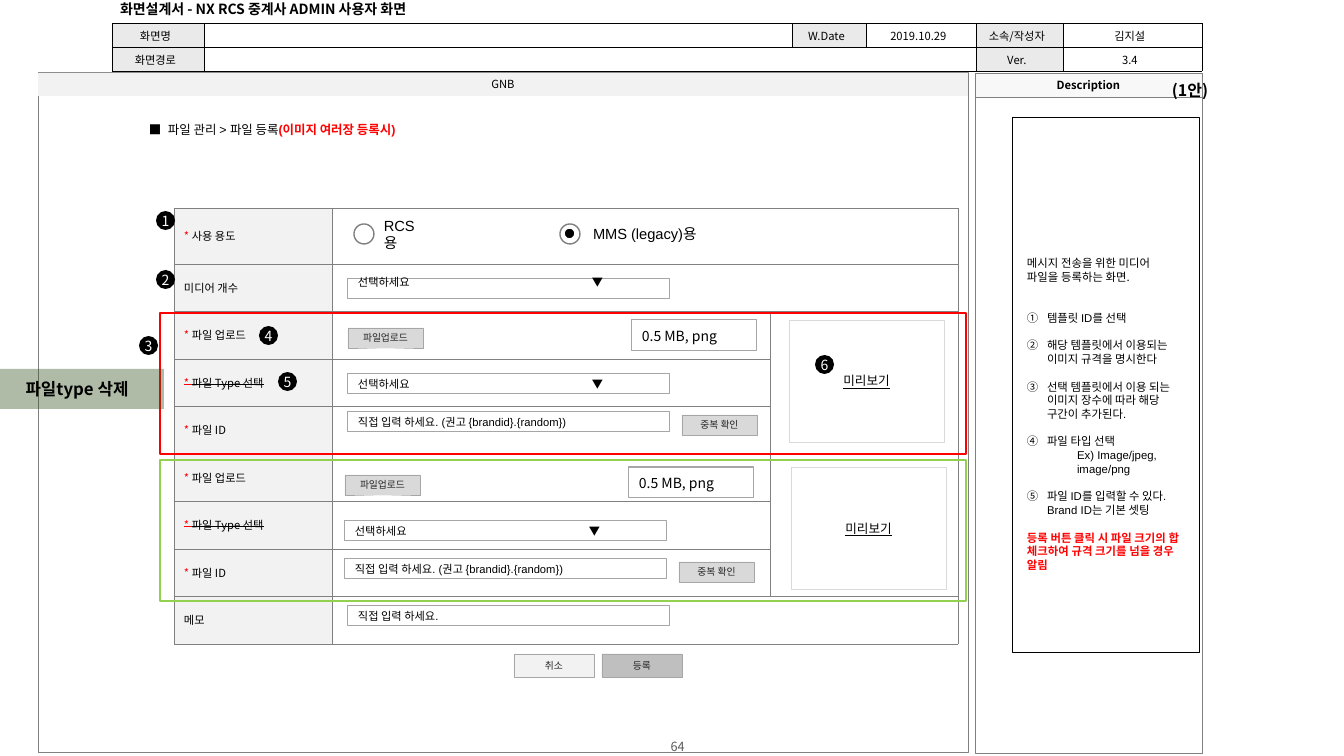
from lxml.etree import SubElement
from pptx import Presentation
from pptx.dml.color import RGBColor
from pptx.enum.shapes import MSO_SHAPE
from pptx.enum.text import MSO_ANCHOR, PP_ALIGN
from pptx.oxml.ns import qn
from pptx.util import Pt

# Content
PAGE_NUMBER = "64"
TITLE = "화면설계서 - NX RCS 중계사 ADMIN 사용자 화면"
HEADER_ROWS = [["화면명", "", "W.Date", "2019.10.29", "소속/작성자", "김지설"],
               ["화면경로", "", "", "", "Ver.", "3.4"]]
BLOCK_LABELS = ["* 파일 업로드", "* 파일 Type 선택", "* 파일 ID"]
FORM_LABELS = ["* 사용 용도", "미디어 개수", *BLOCK_LABELS, *BLOCK_LABELS, "메모"]
SELECT = "선택하세요\t▼"
INPUT = "직접 입력 하세요."
INPUT_ID = "직접 입력 하세요. (권고 {brandid}.{random})"
# text, kind (plain, number, inner, warning), lines of gap before
DESCRIPTION = [
    ("메시지 전송을 위한 미디어 파일을 등록하는 화면.", "plain", 0),
    ("템플릿 ID를 선택", "number", 2),
    ("해당 템플릿에서 이용되는 이미지 규격을 명시한다", "number", 1),
    ("선택 템플릿에서 이용 되는 이미지 장수에 따라 해당 구간이 추가된다.", "number", 1),
    ("파일 타입 선택", "number", 1),
    ("Ex) Image/jpeg, image/png", "inner", 0),
    ("파일 ID를 입력할 수 있다. Brand ID는 기본 셋팅", "number", 1),
    ("등록 버튼 클릭 시 파일 크기의 합 체크하여 규격 크기를 넘을 경우 알림", "warning", 1),
]
BADGES = [(156, 211), (156, 270), (139, 336), (259, 326), (278, 372), (815, 355)]
# frame colour, frame top, field shift (x, y), preview shift (x, y)
BLOCKS = [("red", 313, (0, 0), (0, 0)), ("green", 460, (-3, 147), (2, 147))]

# Theme and scale
THEME = {
    "black": "000000", "white": "FFFFFF", "red": "FF0000", "green": "92D050",
    "grey": "808080", "edge": "A6A6A6", "pale": "D9D9D9", "head": "EAEAEA",
    "label": "F2F2F2", "soft": "F8F8F8", "submit": "BFBFBF", "button": "262626",
    "page": "595959", "olive": "385723",
    "sans": "Arial", "korean": "Noto Sans CJK KR",
    "tiny": 7, "small": 8, "note": 8.1, "path": 8.9, "normal": 9,
    "medium": 10, "radio": 10.5, "version": 11.4, "large": 12, "note_pitch": 9.8,
}
EMU_PER_PX = 914400 / 100.8


def px(length):
    return round(length * EMU_PER_PX)


def colour(name):
    return RGBColor.from_string(THEME[name])


def write(paragraph, runs, font="korean", size="small", ink="black", bold=False,
          underline=False, strike=False, align=PP_ALIGN.LEFT, tab=None):
    """Runs is a string, or a list of (string, colour, bold)."""
    paragraph.alignment = align
    if tab:
        tabs = SubElement(paragraph._p.get_or_add_pPr(), qn("a:tabLst"))
        SubElement(tabs, qn("a:tab"), pos=str(px(tab)), algn="l")
    for text, run_ink, run_bold in [(runs, ink, bold)] if isinstance(runs, str) else runs:
        run = paragraph.add_run()
        run.text = text
        run.font.size = Pt(THEME[size])
        run.font.bold = run_bold
        run.font.color.rgb = colour(run_ink)
        run.font.name = THEME[font]
        if underline:
            run.font.underline = True
        properties = run._r.get_or_add_rPr()
        if strike:
            properties.set("strike", "sngStrike")
        SubElement(properties, qn("a:ea"), typeface=THEME["korean"])


def set_frame(frame, insets, anchor=MSO_ANCHOR.MIDDLE):
    frame.word_wrap = True
    frame.vertical_anchor = anchor
    (frame.margin_left, frame.margin_top,
     frame.margin_right, frame.margin_bottom) = map(px, insets)


def add_box(box, runs="", fill=None, line=None, width=0.25, kind=MSO_SHAPE.RECTANGLE,
            insets=(10, 0, 10, 0), **text_format):
    shape = slide.shapes.add_shape(kind, *map(px, box))
    shape.shadow.inherit = False
    if fill:
        shape.fill.solid()
        shape.fill.fore_color.rgb = colour(fill)
    else:
        shape.fill.background()
    if line:
        shape.line.color.rgb = colour(line)
        shape.line.width = Pt(width)
    else:
        shape.line.fill.background()
    if runs:
        set_frame(shape.text_frame, insets)
        write(shape.text_frame.paragraphs[0], runs, **text_format)
    return shape


def add_label(box, runs="", anchor=MSO_ANCHOR.TOP, insets=(10, 5, 10, 5), **text_format):
    frame = slide.shapes.add_textbox(*map(px, box)).text_frame
    set_frame(frame, insets, anchor)
    if runs:
        write(frame.paragraphs[0], runs, **text_format)
    return frame


def add_button(box, text, fill="pale"):
    add_box(box, text, fill=fill, line="edge", width=0.1, insets=(4, 0, 4, 0),
            font="sans", size="tiny", ink="button", align=PP_ALIGN.CENTER)


def add_field(x, y, text, **options):
    add_box((x, y, 322, 20), text, fill="white", line="edge", width=0.75,
            font="sans", tab=234, **options)


def add_grid(left, top, columns, rows):
    table = slide.shapes.add_table(len(rows), len(columns), px(left), px(top),
                                   px(sum(columns)), px(sum(rows))).table
    table.first_row = table.horz_banding = False
    for column, width in zip(table.columns, columns):
        column.width = px(width)
    for row, height in zip(table.rows, rows):
        row.height = px(height)
    return table


def format_cell(cell, runs, fill, border, insets, border_width=0.25, **text_format):
    cell.vertical_anchor = MSO_ANCHOR.MIDDLE
    (cell.margin_left, cell.margin_top,
     cell.margin_right, cell.margin_bottom) = map(px, insets)
    properties = cell._tc.get_or_add_tcPr()
    for side in ("lnL", "lnR", "lnT", "lnB"):
        edge = SubElement(properties, qn(f"a:{side}"), w=str(Pt(border_width)))
        SubElement(SubElement(edge, qn("a:solidFill")), qn("a:srgbClr"), val=THEME[border])
    if fill:
        cell.fill.solid()
        cell.fill.fore_color.rgb = colour(fill)
    else:
        cell.fill.background()
    paragraph = cell.text_frame.paragraphs[0]
    if runs:
        write(paragraph, runs, **text_format)
    else:
        SubElement(paragraph._p, qn("a:endParaRPr"), sz=str(THEME["small"] * 100))


presentation = Presentation()
presentation.slide_width, presentation.slide_height = px(1344), px(756)
slide = presentation.slides.add_slide(presentation.slide_layouts[6])

# Page frame and header table
add_label((521, 740, 313, 13), PAGE_NUMBER, MSO_ANCHOR.MIDDLE, (0, 0, 0, 0),
          size="normal", ink="page", align=PP_ALIGN.CENTER)
add_box((38, 72, 930, 680), line="grey")
header = add_grid(112, 23, [92, 588, 74, 110, 87, 139], [24, 24])
header.cell(1, 1).merge(header.cell(1, 3))
for r, texts in enumerate(HEADER_ROWS):
    for c, text in enumerate(texts):
        fill = "head" if c in (0, 2, 4) else "white" if c < 5 else None
        if r == 1 and c == 2:
            fill = "white"
        format_cell(header.cell(r, c), text, fill, "black", (4, 4, 9, 4),
                    align=PP_ALIGN.CENTER)
add_label((111, -4, 350, 26), TITLE, MSO_ANCHOR.MIDDLE, (9, 4, 9, 4),
          size="medium", bold=True)
add_box((975, 97, 227, 656), line="grey")
add_box((975, 73, 227, 24), "Description", fill="soft", line="grey", bold=True,
        align=PP_ALIGN.CENTER)
add_box((38, 73, 930, 23), "GNB", fill="label", align=PP_ALIGN.CENTER)

# Description panel
add_box((1012, 117, 187, 535), line="black")
add_label((139, 117, 337, 25), [("■\t파일 관리 > 파일 등록", "black", False),
                                ("(이미지 여러장 등록시)", "red", True)],
          font="sans", size="path", tab=19)
notes = add_label((1017, 251, 174, 341))
for index, (text, kind, gap) in enumerate(DESCRIPTION):
    paragraph = notes.paragraphs[0] if index == 0 else notes.add_paragraph()
    properties = paragraph._p.get_or_add_pPr()
    paragraph.line_spacing = Pt(THEME["note_pitch"])
    if gap:
        paragraph.space_before = Pt(round(gap * THEME["note_pitch"], 1))
    if kind == "number":
        properties.set("marL", str(px(20)))
        properties.set("indent", str(px(-20)))
        numbering = SubElement(properties, qn("a:buAutoNum"), type="circleNumDbPlain")
        if DESCRIPTION[index - 1][1] == "inner":
            numbering.set("startAt", "5")
    elif kind == "inner":
        paragraph.level = 1
        properties.set("marL", str(px(50)))
        properties.set("indent", "0")
    warning = kind == "warning"
    write(paragraph, text, font="korean" if kind == "plain" else "sans", size="note",
          ink="red" if warning else "black", bold=warning)
add_label((832, 76, 386, 29), "(1안)", size="version", bold=True, align=PP_ALIGN.RIGHT)

# Form table
form = add_grid(174, 208, [158, 438, 188], [56] + [47, 48] * 4)
for r in (0, 1, 8):
    form.cell(r, 1).merge(form.cell(r, 2))
for r in (2, 5):
    form.cell(r, 2).merge(form.cell(r + 2, 2))
for r, label in enumerate(FORM_LABELS):
    runs = label
    if label.startswith("* "):
        runs = [("* ", "red", False), (label[2:], "black", False)]
    for c in range(3):
        format_cell(form.cell(r, c), "" if c else runs, None if c else "label", "grey",
                    (10, 5, 10, 5), border_width=0.5 if c == 2 else 0.25,
                    strike="Type" in label)

# Usage choice, media count, memo and buttons
for x, text, width in [(354, "RCS용", 63), (560, "MMS (legacy)용", 159)]:
    add_box((x, 224, 20, 20), fill="white", line="grey", width=1, kind=MSO_SHAPE.OVAL)
    add_label((x + 20 if width == 63 else x + 23, 224, width, 20), text,
              MSO_ANCHOR.MIDDLE, font="sans", size="radio")
add_box((564, 228, 11, 11), fill="black", line="white", width=1, kind=MSO_SHAPE.OVAL)
add_field(348, 279, SELECT, insets=(10, 0, 10, 13))
add_field(348, 606, INPUT)
add_button((514, 654, 80, 23), "취소", "label")
add_button((602, 654, 80, 23), "등록", "submit")

# File blocks
for frame_colour, frame_top, (dx, dy), (preview_dx, preview_dy) in BLOCKS:
    add_button((348 + dx, 328 + dy, 75, 20), "파일업로드")
    add_field(348 + dx, 374 + dy, SELECT)
    add_field(348 + dx, 412 + dy, INPUT_ID)
    add_button((682 + dx, 415 + dy, 75, 20), "중복 확인")
    add_box((632 + dx, 320 + dy, 125, 31), "0.5 MB, png", fill="white", line="edge",
            width=0.75, size="medium")
    add_box((789 + preview_dx, 320 + preview_dy, 155, 122), "미리보기", fill="white",
            line="pale", font="sans", size="normal", underline=True, align=PP_ALIGN.CENTER)
    add_box((160, frame_top, 806, 141), line=frame_colour, width=1)

# Numbered badges and change note
for number, (x, y) in enumerate(BADGES, 1):
    add_box((x, y, 19, 19), str(number), fill="black", kind=MSO_SHAPE.OVAL,
            insets=(0, 0, 0, 0), size="medium", ink="white", align=PP_ALIGN.CENTER)
change_note = add_box((-10, 369, 174, 40), "파일type 삭제", fill="olive", size="large",
                      bold=True, align=PP_ALIGN.CENTER)
tint = change_note.fill._xPr.find(qn("a:solidFill")).find(qn("a:srgbClr"))
SubElement(tint, qn("a:alpha"), val="40000")

presentation.save("out.pptx")
